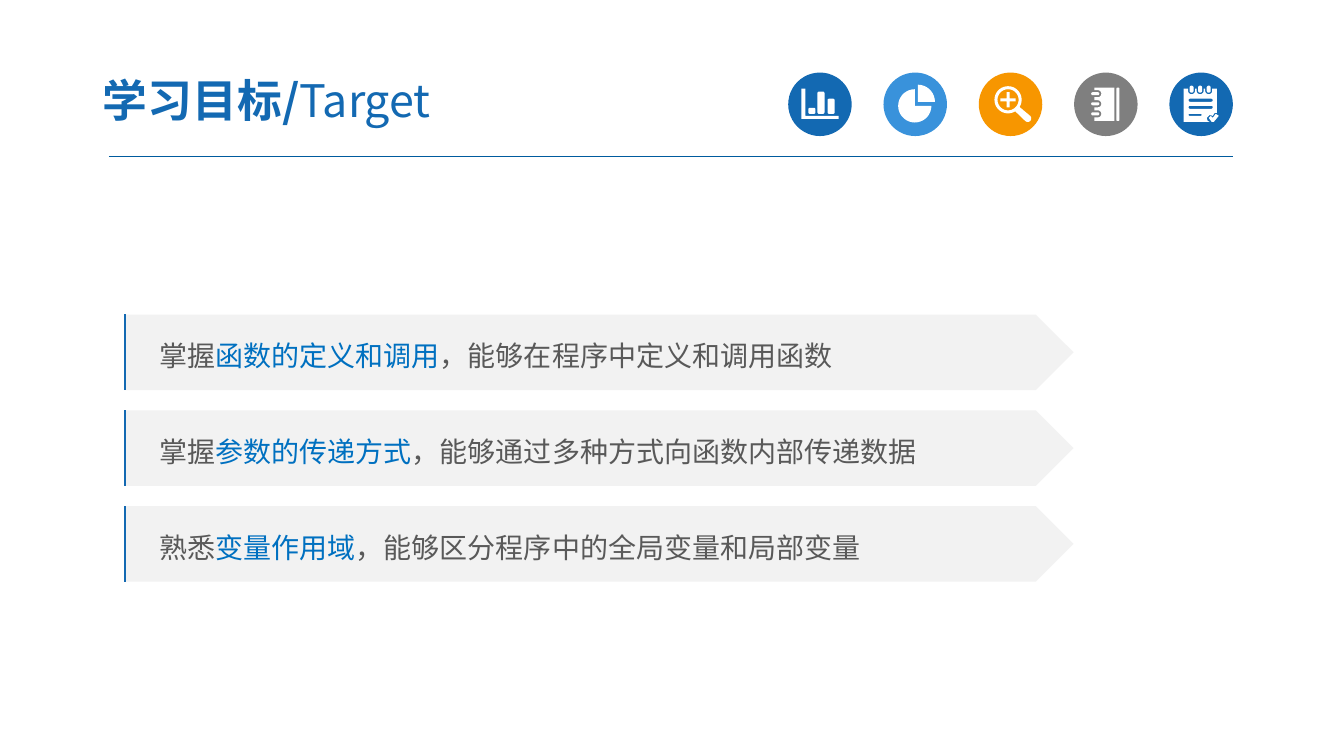
from math import cos, radians, sin

from lxml.etree import SubElement
from pptx import Presentation
from pptx.dml.color import RGBColor as Rgb
from pptx.enum.shapes import MSO_CONNECTOR as Link, MSO_SHAPE as Kind
from pptx.enum.text import MSO_ANCHOR as Anchor, PP_ALIGN as Align
from pptx.oxml.ns import qn
from pptx.util import Inches, Pt

WIDE, HIGH = Inches(13.333), Inches(7.5)
FONT = "Noto Sans CJK SC"
INK = {
    "blue": "1369B2", "sky": "3992DB", "amber": "F79600", "gray": "7F7F7F",
    "rule": "005B9E", "key": "0070C0", "text": "595959", "pale": "F2F2F2",
    "white": "FFFFFF",
}
GOALS = [
    ("掌握", "函数的定义和调用", "，能够在程序中定义和调用函数"),
    ("掌握", "参数的传递方式", "，能够通过多种方式向函数内部传递数据"),
    ("熟悉", "变量作用域", "，能够区分程序中的全局变量和局部变量"),
]


def across(share):
    return round(WIDE * share / 100)


def down(share):
    return round(HIGH * share / 100)


def color(name):
    return Rgb.from_string(INK[name])


def paint(shape, fill):
    shape.shadow.inherit = False
    shape.fill.solid()
    shape.fill.fore_color.rgb = color(fill)
    shape.line.fill.background()


def write(shape, runs, size, left, space=1.0):
    """Fill a shape with one paragraph; each run is (text, color, bold)."""
    frame = shape.text_frame
    frame.word_wrap = True
    frame.vertical_anchor = Anchor.MIDDLE
    frame.margin_left = Inches(left)
    para = frame.paragraphs[0]
    para.alignment = Align.LEFT
    para.line_spacing = space
    for text, ink, bold in runs:
        run = para.add_run()
        run.text = text
        font = run.font
        font.name, font.size, font.bold = FONT, Pt(size), bold
        font.color.rgb = color(ink)
        east = SubElement(run._r.get_or_add_rPr(), qn("a:ea"))
        east.set("typeface", FONT)


def rule(shapes, start, end, ink, width):
    line = shapes.add_connector(Link.STRAIGHT, *start, *end)
    line.line.color.rgb = color(ink)
    line.line.width = Pt(width)
    SubElement(line._element.spPr, qn("a:effectLst"))


def arc(x, y, r, start=0, end=360):
    """Points along an arc, in degrees clockwise from the right."""
    steps = max(6, abs(end - start) // 10)
    turns = [radians(start + (end - start) * i / steps) for i in range(steps + 1)]
    return [(x + r * cos(t), y + r * sin(t)) for t in turns]


def bar(x, y, w, h, r=1.5):
    """A box with round corners."""
    right, low = x + w - r, y + h - r
    return (arc(right, low, r, 0, 90) + arc(x + r, low, r, 90, 180)
            + arc(x + r, y + r, r, 180, 270) + arc(right, y + r, r, 270, 360))


# Each icon is a list of outlines, in hundredths of an inch from its disc's corner.
def chart():
    axis = [(13, 16), (17, 16), (17, 43), (50, 43), (50, 46), (13, 46)]
    return [axis, bar(20, 35, 7, 6), bar(29, 19, 7, 22), bar(39, 26, 7, 15)]


def pie():
    return [[(34, 29)] + arc(34, 29, 17, -90, 0),
            [(31, 33)] + arc(31, 33, 16.5, 0, 270)]


def zoom():
    x, y = 29, 27
    near, far = 1.5, 7.5
    plus = []
    for dx, dy in ((1, -1), (1, 1), (-1, 1), (-1, -1)):
        arms = [(near, far), (near, near), (far, near)]
        if dx == dy:
            arms.reverse()
        plus += [(x + dx * a, y + dy * b) for a, b in arms]
    grip = arc(x, y, 13.5, 58, 32) + arc(48.5, 45.5, 3.5, -45, 135)
    return [arc(x, y, 13.5), arc(x, y, 10.5), plus, grip]


def book():
    rings = (41, 31, 21)
    cover = [(20, 15), (40, 15), (40, 48), (20, 48)]
    for y in rings:
        cover += [(20, y + 3.5)] + arc(23.5, y, 3.5, 90, -90) + [(20, y - 3.5)]
    return [cover, bar(42, 15, 3, 33, 1)] + [bar(17, y - 1.5, 8, 3) for y in rings]


def pad():
    rings = (22, 30.5, 39)
    page = [(14, 16)]
    for x in rings:
        page += [(x - 3.5, 16)] + arc(x, 18, 3.5, 180, 0) + [(x + 3.5, 16)]
    page += [(47, 16), (47, 40), (45, 40), (43, 43), (40, 42), (37, 45),
             (38, 48), (40, 49), (14, 49)]
    tick = [(39, 45), (41, 43), (43, 45), (46, 41), (49, 43), (44, 49), (42, 49)]
    lines = [bar(19, 26, 24, 3), bar(19, 33, 24, 3), bar(19, 41, 13, 2, 1)]
    return [page, tick] + lines + [bar(x - 2, 13, 4, 7, 2) for x in rings]


def icon(shapes, left, top, fill, parts):
    size = Inches(0.63)
    paint(shapes.add_shape(Kind.OVAL, left, top, size, size), fill)
    fine = [[(x * 100, y * 100) for x, y in part] for part in parts]
    pen = shapes.build_freeform(*fine[0][0], scale=Inches(0.01) / 100)
    for i, part in enumerate(fine):
        if i:
            pen.move_to(*part[0])
        pen.add_line_segments(part[1:], close=True)
    paint(pen.convert_to_shape(left, top), "white")


def goal(shapes, top, words):
    left, high = across(9.23), down(10)
    plate = shapes.add_shape(Kind.PENTAGON, left, top, across(70.65), high)
    paint(plate, "pale")
    runs = zip(words, ("text", "key", "text"), (False,) * 3)
    write(plate, runs, 20, 0.35, space=1.2)
    edge = left + Inches(0.01)
    rule(shapes, (edge, top), (edge, top + high), "blue", 1.5)


def main():
    deck = Presentation()
    deck.slide_width, deck.slide_height = WIDE, HIGH
    shapes = deck.slides.add_slide(deck.slide_layouts[6]).shapes

    base = down(20.67)
    rule(shapes, (across(8.1), base), (across(91.73), base), "rule", 0.75)
    icons = [("blue", chart), ("sky", pie), ("amber", zoom),
             ("gray", book), ("blue", pad)]
    for i, (fill, draw) in enumerate(icons):
        icon(shapes, across(58.65 + 7.09 * i), down(9.6), fill, draw())

    title = shapes.add_textbox(across(6.68), down(8.4), across(39.15), down(9.6))
    write(title, [("学习目标/", "blue", True), ("Target", "blue", False)], 32, 0.13)
    for i, words in enumerate(GOALS):
        goal(shapes, down(41.6 + 12.67 * i), words)
    deck.save("out.pptx")


if __name__ == "__main__":
    main()
